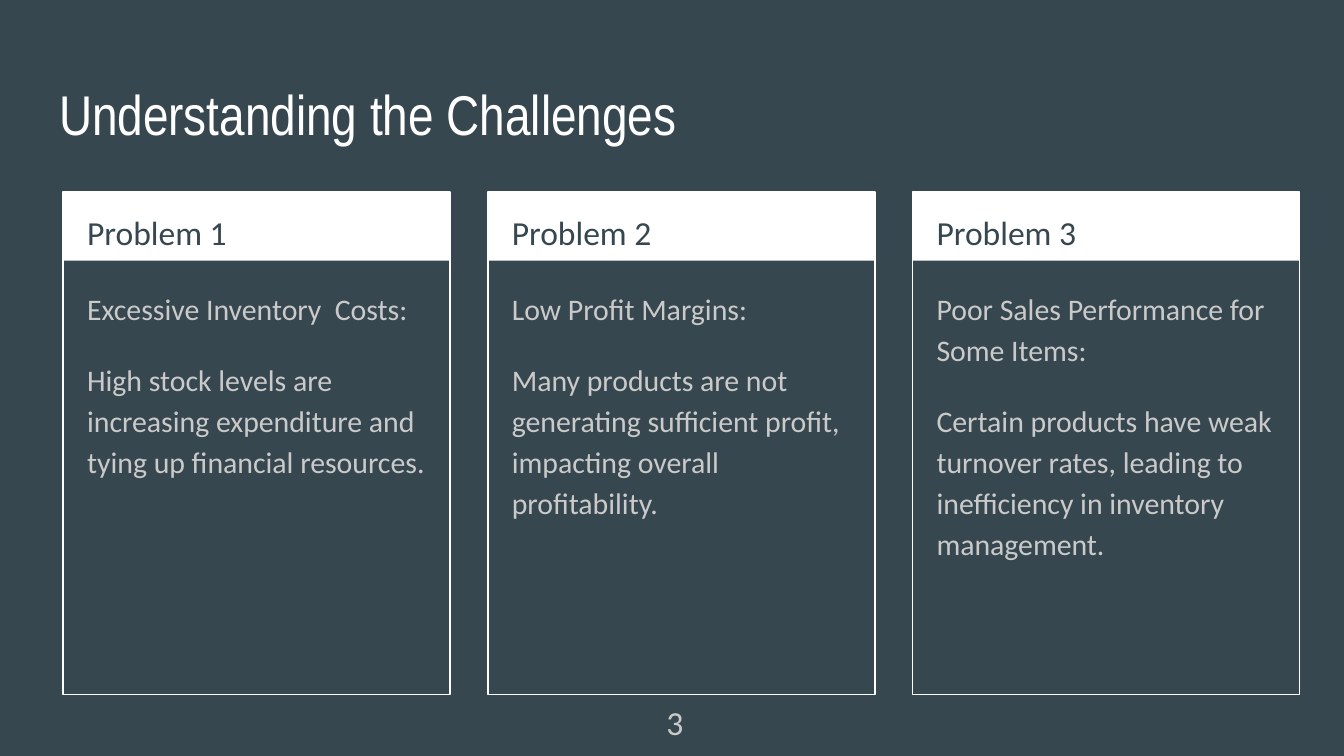
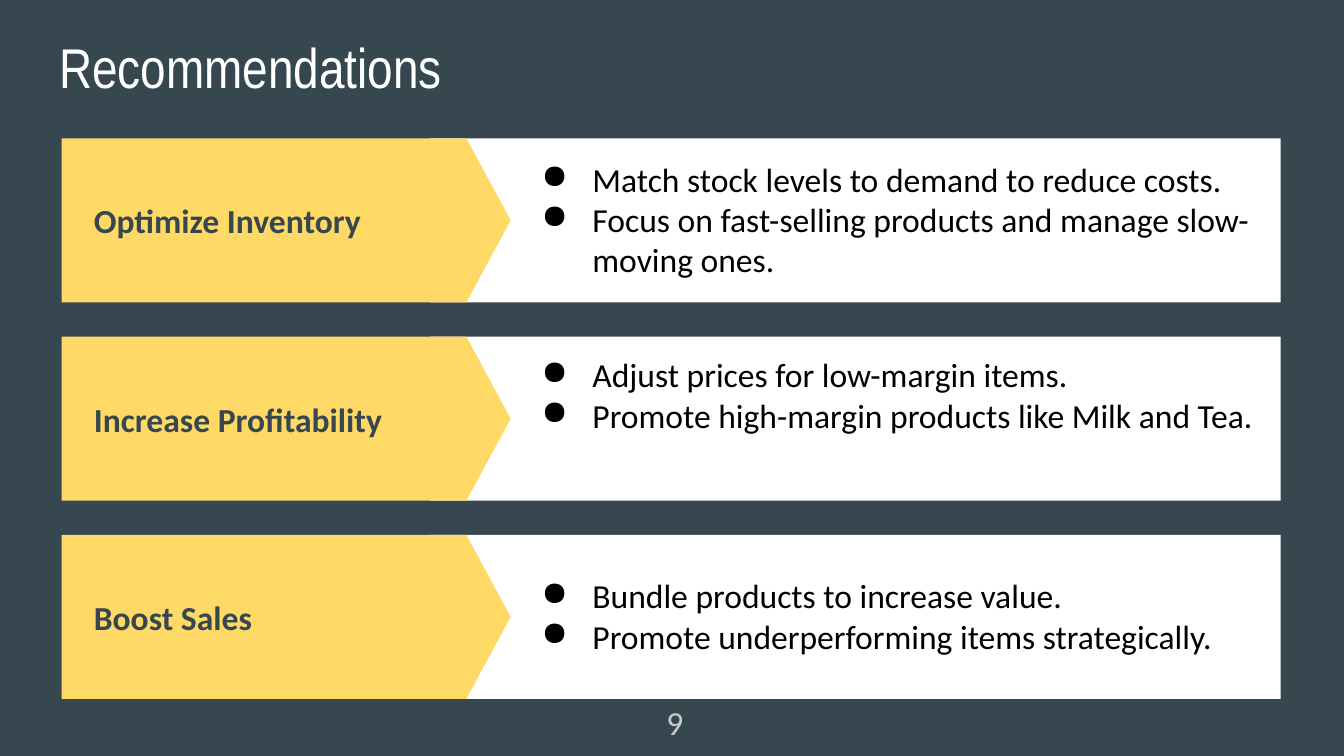
from lxml import etree
from pptx import Presentation
from pptx import util as u
from pptx.dml.color import RGBColor
from pptx.enum import shapes, text
from pptx.oxml.ns import qn

SLATE, WHITE, GREY, YELLOW, BLACK = "37474F", "FFFFFF", "CACACA", "FFD966", "000000"

TITLE = {"name": "Arial Narrow", "size": u.Pt(30), "color": WHITE}
CARD_HEAD = {"name": "Calibri", "size": u.Pt(18), "color": SLATE}
CARD_BODY = {"name": "Calibri", "size": u.Pt(16), "color": GREY}
ARROW_LABEL = {**CARD_HEAD, "bold": True}
BULLETS = {**CARD_HEAD, "color": BLACK}
PAGE_NUMBER = {**CARD_HEAD, "color": GREY}

deck = Presentation()
deck.slide_width, deck.slide_height = u.Inches(10), u.Pt(405)
CELL = deck.slide_width // 100  # grid of square cells, 100 across the slide
master_fill = deck.slide_master.background.fill
master_fill.solid()
master_fill.fore_color.rgb = RGBColor.from_string(SLATE)


def add_block(page, cells, kind=None, fill=None, line=None):
    """Place a preset shape, or a text box if kind is None, at grid cells (left, top, width, height)."""
    area = [round(CELL * cell) for cell in cells]
    if kind is None:
        return page.shapes.add_textbox(*area)
    block = page.shapes.add_shape(kind, *area)
    block.shadow.inherit = False
    for part, colour in ((block.fill, fill), (block.line.fill, line)):
        if colour:
            part.solid()
            part.fore_color.rgb = RGBColor.from_string(colour)
        else:
            part.background()
    if line:
        block.line.width = u.Pt(0.75)
    return block


def write(box, lines, look, layout=None, gap=0, bullet=None, anchor=text.MSO_ANCHOR.TOP):
    """Fill a box with paragraphs; gap is the space in points around each one after the first."""
    frame = box.text_frame
    frame.word_wrap = True
    frame.auto_size = text.MSO_AUTO_SIZE.NONE
    frame.vertical_anchor = anchor
    for side in ("left", "top", "right", "bottom"):
        setattr(frame, f"margin_{side}", CELL)
    for index, line in enumerate(lines):
        para = frame.add_paragraph() if index else frame.paragraphs[0]
        para.alignment = text.PP_ALIGN.LEFT
        for name, value in (layout or {}).items():
            setattr(para, name, value)
        if index and gap:
            para.space_before = para.space_after = u.Pt(gap)
        if bullet:
            props = para._p.get_or_add_pPr()
            props.set("marL", str(u.Inches(0.5)))
            props.set("indent", str(u.Inches(-0.38)))
            tint = etree.SubElement(props, qn("a:buClr"))
            etree.SubElement(tint, qn("a:srgbClr"), val=look["color"])
            etree.SubElement(props, qn("a:buChar"), char=bullet)
        span = para.add_run()
        span.text = line
        for name, value in look.items():
            if name == "color":
                span.font.color.rgb = RGBColor.from_string(value)
            else:
                setattr(span.font, name, value)


# Shared by both slides: title and page number
pages = []
for heading, title_top, number in (
    ("Understanding the Challenges", 4.9, "3"),
    ("Recommendations", 1.4, "9"),
):
    page = deck.slides.add_slide(deck.slide_layouts[5])
    title = page.shapes.title
    for side, cells in {"left": 3.4, "top": title_top, "width": 93.2, "height": 6.3}.items():
        setattr(title, side, round(CELL * cells))
    write(title, [heading], TITLE)
    write(add_block(page, (48.6, 51.2, 2.7, 5)), [number], PAGE_NUMBER)
    pages.append(page)
challenges, recommendations = pages

# Three problem cards in equal columns
CARD_LEFT, CARD_TOP, CARD_WIDTH, CARD_STEP = 4.7, 14.3, 28.8, 31.6
CARD_LAYOUT = {"line_spacing": 1.15}
RECT = shapes.MSO_SHAPE.RECTANGLE
problems = (
    ("Problem 1", "Excessive Inventory  Costs:",
     "High stock levels are increasing expenditure and tying up financial resources."),
    ("Problem 2", "Low Profit Margins:",
     "Many products are not generating sufficient profit, impacting overall profitability."),
    ("Problem 3", "Poor Sales Performance for Some Items:",
     "Certain products have weak turnover rates, leading to inefficiency in inventory management."),
)
for column, (label, issue, detail) in enumerate(problems):
    left = CARD_LEFT + column * CARD_STEP
    add_block(challenges, (left, CARD_TOP, CARD_WIDTH, 5.1), RECT, fill=WHITE)
    add_block(challenges, (left, CARD_TOP, CARD_WIDTH, 37.4), RECT, line=WHITE)
    label_box = add_block(challenges, (left + 0.8, CARD_TOP, 27.3, 5))
    write(label_box, [label], CARD_HEAD, CARD_LAYOUT)
    detail_box = add_block(challenges, (left + 0.8, 20.2, 27.1, 30.6))
    write(detail_box, [issue, detail], CARD_BODY, CARD_LAYOUT, gap=16)

# Three recommendation rows: arrow label and bullets
ROW_TOP, ROW_HEIGHT, ROW_STEP = 10.3, 12.2, 14.75
advice = (
    ("Optimize Inventory", 0.5, (
        "Match stock levels to demand to reduce costs.",
        "Focus on fast-selling products and manage slow-moving ones.")),
    ("Increase Profitability", 0.3, (
        "Adjust prices for low-margin items.",
        "Promote high-margin products like Milk and Tea.")),
    ("Boost Sales", 2, (
        "Bundle products to increase value.",
        "Promote underperforming items strategically.")),
)
for row, (label, inset, actions) in enumerate(advice):
    top = ROW_TOP + row * ROW_STEP
    add_block(recommendations, (32, top, 63.3, ROW_HEIGHT), RECT, fill=WHITE)
    arrow = add_block(recommendations, (4.6, top, 33.4, ROW_HEIGHT),
                      shapes.MSO_SHAPE.PENTAGON, fill=YELLOW)
    arrow.adjustments[0] = 0.27
    label_box = add_block(recommendations, (6, top + 1.75, 26.5, 8.7))
    write(label_box, [label], ARROW_LABEL, anchor=text.MSO_ANCHOR.MIDDLE)
    action_box = add_block(recommendations, (38.1, top + inset, 57.3, ROW_HEIGHT - 2 * inset))
    write(action_box, actions, BULLETS, bullet="●")

deck.save("out.pptx")
